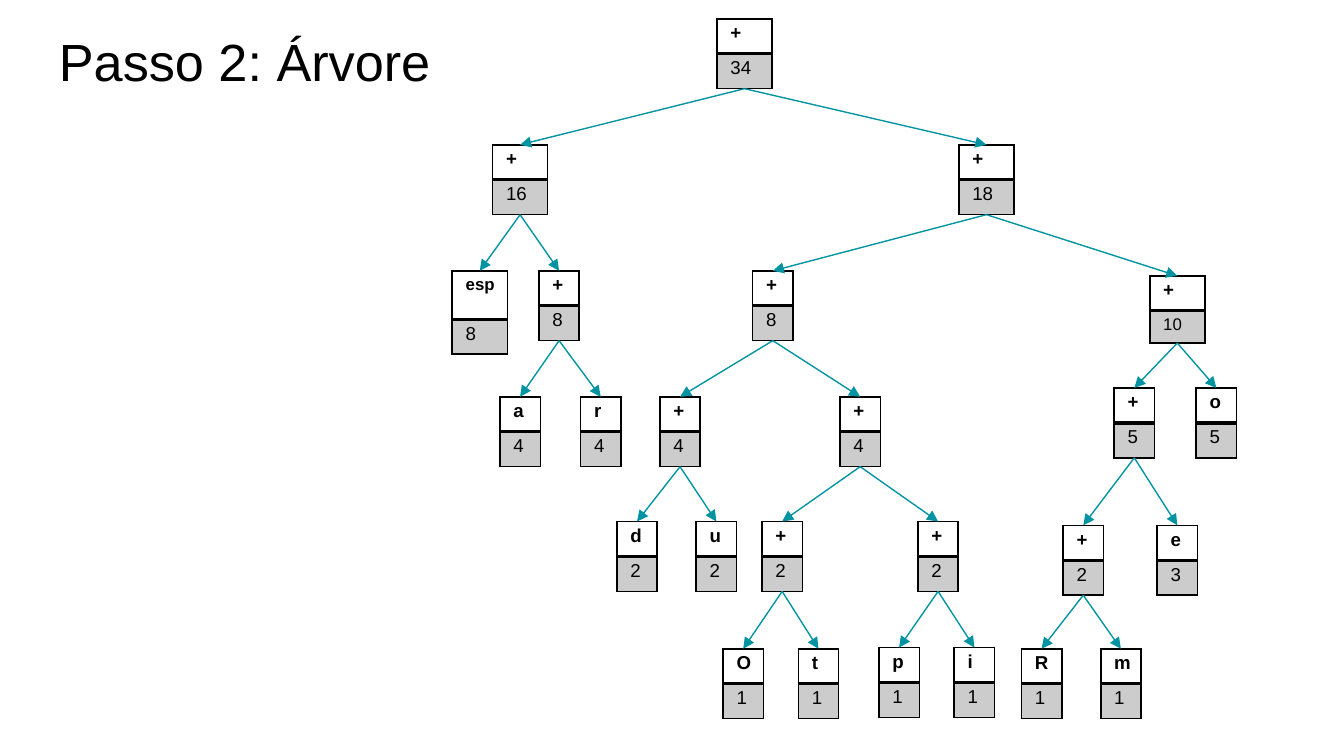
from dataclasses import dataclass

from lxml.etree import SubElement
from pptx import Presentation
from pptx.dml.color import RGBColor as RGB
from pptx.enum.shapes import MSO_CONNECTOR as Conn
from pptx.oxml.ns import qn
from pptx.util import Inches, Pt

WIDTH, HEIGHT = 10, 5.625
COL = WIDTH / 100
ROW = HEIGHT / 6
TOP = 0.14
NARROW, WIDE = 3, 4.1
CELL = 0.26
COLORS = {"ink": "000000", "arrow": "0094A3"}


@dataclass(frozen=True)
class Node:
    symbol: str
    count: int
    col: float
    row: float
    children: tuple["Node", ...] = ()
    width: float = NARROW
    heights: tuple[float, float] = (CELL, CELL)
    sizes: tuple[int, int] = (10, 10)

    @property
    def x(self) -> float:
        return self.col * COL

    @property
    def top(self) -> float:
        return TOP + self.row * ROW

    @property
    def bottom(self) -> float:
        return self.top + sum(self.heights)


SPACE_BRANCH = Node("+", 16, 38.7, 1, (
    Node("esp", 8, 35.7, 2, width=WIDE, heights=(0.36, CELL), sizes=(9, 10)),
    Node("+", 8, 41.6, 2, (
        Node("a", 4, 38.7, 3),
        Node("r", 4, 44.7, 3),
    )),
), WIDE)

MIDDLE_BRANCH = Node("+", 8, 57.5, 2, (
    Node("+", 4, 50.6, 3, (
        Node("d", 2, 47.4, 3.99),
        Node("u", 2, 53.3, 3.99),
    )),
    Node("+", 4, 64, 3, (
        Node("+", 2, 58.2, 3.99, (
            Node("O", 1, 55.3, 5),
            Node("t", 1, 60.9, 5),
        )),
        Node("+", 2, 69.8, 3.99, (
            Node("p", 1, 66.9, 4.99),
            Node("i", 1, 72.5, 4.99),
        )),
    )),
))

RIGHT_BRANCH = Node("+", 10, 87.6, 2.04, (
    Node("+", 5, 84.4, 2.93, (
        Node("+", 2, 80.6, 4.02, (
            Node("R", 1, 77.5, 5),
            Node("m", 1, 83.4, 5),
        )),
        Node("e", 3, 87.6, 4.02),
    )),
    Node("o", 5, 90.5, 2.93),
), WIDE, (CELL, 0.24), (10, 9))

ROOT = Node("+", 34, 55.4, 0, (
    SPACE_BRANCH,
    Node("+", 18, 73.4, 1, (MIDDLE_BRANCH, RIGHT_BRANCH), WIDE),
), WIDE)


def add_run(p, text: str, size: int, bold: bool = False) -> None:
    r = p.add_run()
    r.text = text
    r.font.name = "Arial"
    r.font.size = Pt(size)
    r.font.bold = bold
    r.font.color.rgb = RGB.from_string(COLORS["ink"])


def add_borders(cell, bottom: float) -> None:
    tc_pr = cell._tc.get_or_add_tcPr()
    for side, width in (("L", 1), ("R", 1), ("T", 1), ("B", bottom)):
        ln = SubElement(tc_pr, qn(f"a:ln{side}"), w=str(Pt(width)))
        fill = SubElement(ln, qn("a:solidFill"))
        SubElement(fill, qn("a:srgbClr"), val=COLORS["ink"])


def shade(cell) -> None:
    cell.fill.solid()
    cell.fill.fore_color.rgb = RGB.from_string(COLORS["ink"])
    color = cell._tc.tcPr.find(f"{qn('a:solidFill')}/{qn('a:srgbClr')}")
    SubElement(color, qn("a:alpha"), val="20000")


def add_node(s, node: Node) -> None:
    width = node.width * COL
    table = s.shapes.add_table(
        2, 1, Inches(node.x - width / 2), Inches(node.top),
        Inches(width), Inches(sum(node.heights))).table
    table.first_row = table.horz_banding = False
    texts = (node.symbol, str(node.count))
    for i, (text, height, size) in enumerate(zip(texts, node.heights, node.sizes)):
        table.rows[i].height = Inches(height)
        cell = table.cell(i, 0)
        cell.margin_left, cell.margin_right = Inches(0.1), Inches(0.04)
        cell.margin_top = cell.margin_bottom = Inches(0.03)
        add_run(cell.text_frame.paragraphs[0], text, size, bold=i == 0)
        add_borders(cell, bottom=2 if i == 0 else 1)
        if i == 0:
            cell.fill.background()
        else:
            shade(cell)


def add_arrow(s, parent: Node, child: Node) -> None:
    line = s.shapes.add_connector(
        Conn.STRAIGHT, Inches(parent.x), Inches(parent.bottom),
        Inches(child.x), Inches(child.top))
    line.line.color.rgb = RGB.from_string(COLORS["arrow"])
    line.line.width = Pt(0.75)
    SubElement(line.line._get_or_add_ln(), qn("a:tailEnd"), type="triangle")
    SubElement(line._element.spPr, qn("a:effectLst"))


def add_tree(s, node: Node) -> None:
    for child in node.children:
        add_tree(s, child)
    add_node(s, node)
    for child in node.children:
        add_arrow(s, node, child)


def add_title(s, text: str) -> None:
    sp = s.shapes.add_textbox(
        Inches(3.4 * COL), Inches(0.12), Inches(93.2 * COL), Inches(0.63))
    tf = sp.text_frame
    tf.word_wrap = True
    tf.margin_left = tf.margin_right = Inches(0.1)
    tf.margin_top = tf.margin_bottom = Inches(0.1)
    add_run(tf.paragraphs[0], text, 28)


def main() -> None:
    prs = Presentation()
    prs.slide_width, prs.slide_height = Inches(WIDTH), Inches(HEIGHT)
    s = prs.slides.add_slide(prs.slide_layouts[6])
    add_title(s, "Passo 2: Árvore")
    add_tree(s, ROOT)
    prs.save("out.pptx")


if __name__ == "__main__":
    main()
